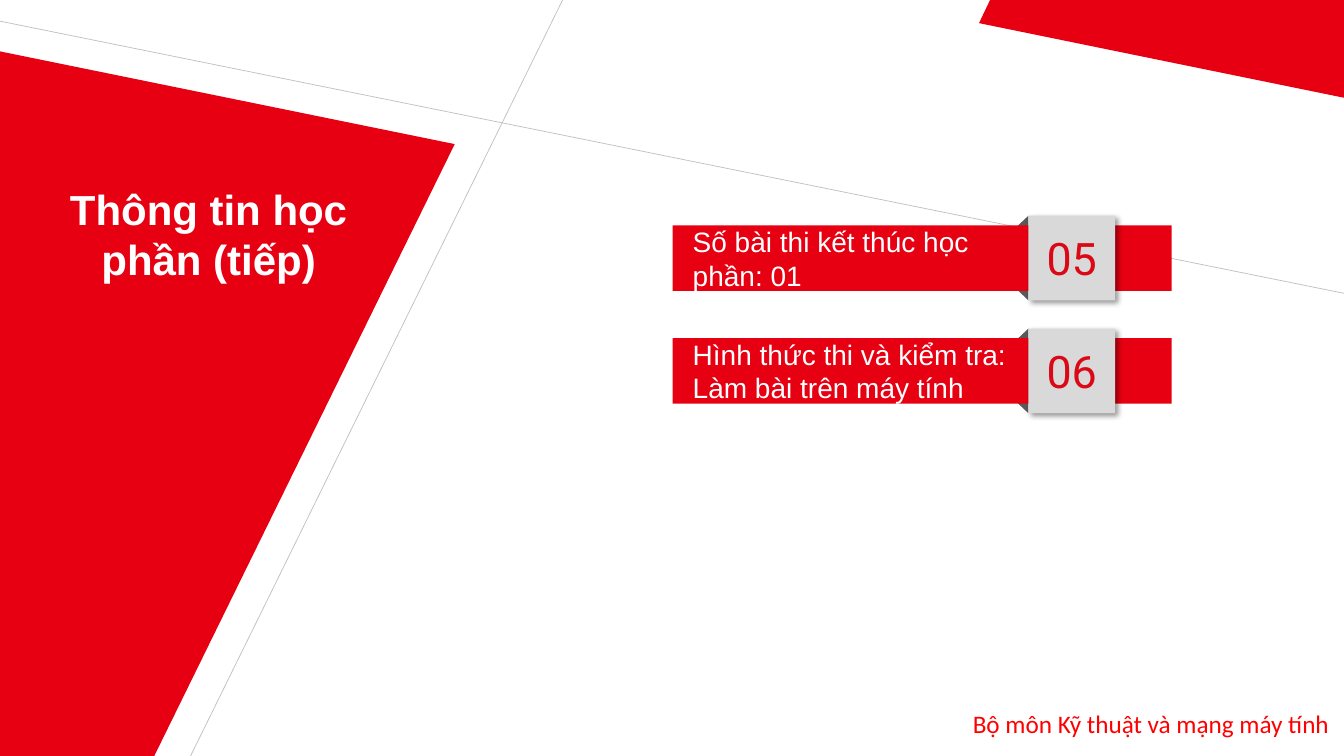
from lxml import etree
from pptx import Presentation
from pptx.dml.color import RGBColor
from pptx.enum import shapes as kinds, text as styles
from pptx.oxml import ns
from pptx.util import Inches, Pt

RED, GREY, WHITE = "E70012", "D9D9D9", "FFFFFF"
TITLE = "Thông tin học phần (tiếp)"
FOOTER = "Bộ môn Kỹ thuật và mạng máy tính"
ITEMS = [
    ("05", ["Số bài thi kết thúc học ", "phần: 01"]),
    ("06", ["Hình thức thi và kiểm tra:", "Làm bài trên máy tính"]),
]
PANELS = [
    [(0, 0.51), (4.51, 1.43), (1.53, 7.5), (0, 7.5)],
    [(9.82, 0), (13.33, 0), (13.33, 0.97), (9.71, 0.23)],
]
RULES = [(1.89, 7.5, 5.58, 0), (0, 0.21, 13.33, 2.91)]
TOP, STEP = 2.14, 1.12
BAR = (6.67, 4.95, 0.65)
TILE = (10.2, 0.86, 0.84)
FOLD = (0.19, 0.18)


def color(code):
    """Turn a hex string into a colour."""
    return RGBColor.from_string(code)


def paint(shape, code):
    """Give a shape a flat fill, no outline and no shadow."""
    shape.shadow.inherit = False
    shape.fill.solid()
    shape.fill.fore_color.rgb = color(code)
    shape.line.fill.background()


def write(shape, lines, size, font, code, align, anchor, bold=False):
    """Write one paragraph for each line."""
    frame = shape.text_frame
    frame.vertical_anchor = anchor
    for i, line in enumerate(lines):
        para = frame.add_paragraph() if i else frame.paragraphs[0]
        para.alignment = align
        run = para.add_run()
        run.text = line
        run.font.size, run.font.name, run.font.bold = Pt(size), font, bold
        run.font.color.rgb = color(code)


def inset(shape, left, top, right, bottom):
    """Set the inner margins of a shape."""
    frame = shape.text_frame
    frame.word_wrap = True
    frame.margin_left, frame.margin_top = Inches(left), Inches(top)
    frame.margin_right, frame.margin_bottom = Inches(right), Inches(bottom)


def block(kind, box, code):
    """Add a flat preset shape."""
    shape = slide.shapes.add_shape(kind, *map(Inches, box))
    paint(shape, code)
    return shape


def panel(points):
    """Add a red outline shape at a slide edge."""
    dots = [(Inches(x), Inches(y)) for x, y in points]
    form = slide.shapes.build_freeform(*dots[0])
    form.add_line_segments(dots[1:], close=True)
    paint(form.convert_to_shape(), RED)


def rule(ends):
    """Add a thin grey line without a shadow."""
    line = slide.shapes.add_connector(kinds.MSO_CONNECTOR.STRAIGHT, *map(Inches, ends))
    line.line.color.rgb = color("BFBFBF")
    line.line.width = Pt(0.5)
    etree.SubElement(line._element.spPr, ns.qn("a:effectLst"))


def fold(top, down):
    """Add a dark ribbon corner beside a tile."""
    wide, high = FOLD
    shape = block(kinds.MSO_SHAPE.ISOSCELES_TRIANGLE,
                  (TILE[0] - wide, top, wide, high), "595959")
    shape.adjustments[0] = 0
    frame = shape._element.spPr.find(ns.qn("a:xfrm"))
    frame.set("flipH", "1")
    if down:
        frame.set("flipV", "1")


def shade(shape):
    """Cast a soft shadow to the lower right."""
    effects = shape._element.spPr.find(ns.qn("a:effectLst"))
    outer = etree.SubElement(effects, ns.qn("a:outerShdw"), blurRad=str(Pt(4)),
                             dist=str(Pt(3)), dir=str(45 * 60000),
                             algn="tl", rotWithShape="0")
    black = etree.SubElement(outer, ns.qn("a:srgbClr"), val="000000")
    etree.SubElement(black, ns.qn("a:alpha"), val="40000")


def ribbon(top, number, lines):
    """Add one labelled bar with its folded number tile."""
    left, wide, high = BAR
    side, span, tall = TILE
    fold(top + tall - FOLD[1], True)
    fold(top, False)
    bar = block(kinds.MSO_SHAPE.RECTANGLE,
                (left, top + (tall - high) / 2, wide, high), RED)
    inset(bar, 0.2, 0.05, 0.1, 0.05)
    write(bar, lines, 20, "Arial", WHITE, LEFT, MIDDLE)
    tile = block(kinds.MSO_SHAPE.RECTANGLE, (side, top, span, tall), GREY)
    shade(tile)
    inset(tile, 0, 0, 0, 0)
    write(tile, [number], 32, "Roboto", "DB0816", CENTER, MIDDLE)


LEFT, CENTER = styles.PP_ALIGN.LEFT, styles.PP_ALIGN.CENTER
HIGH, MIDDLE = styles.MSO_ANCHOR.TOP, styles.MSO_ANCHOR.MIDDLE

deck = Presentation()
deck.slide_width, deck.slide_height = Inches(13.33), Inches(7.5)
slide = deck.slides.add_slide(deck.slide_layouts[5])

panel(PANELS[0])
for ends in RULES:
    rule(ends)
panel(PANELS[1])

foot = slide.shapes.add_textbox(*map(Inches, (9.55, 6.98, 3.78, 0.4)))
foot.text_frame.word_wrap = False
write(foot, [FOOTER], 18, "Calibri", "FF0000", LEFT, HIGH)

title = slide.shapes.title
title.left, title.top, title.width, title.height = map(Inches, (0.25, 1.77, 3.64, 1.11))
inset(title, 0.1, 0.05, 0.1, 0.05)
title.text_frame.auto_size = styles.MSO_AUTO_SIZE.SHAPE_TO_FIT_TEXT
write(title, [TITLE], 30, "Arial", WHITE, CENTER, HIGH, bold=True)
slide.shapes._spTree.append(title._element)

for i, (number, lines) in enumerate(ITEMS):
    ribbon(TOP + i * STEP, number, lines)

deck.save("out.pptx")
